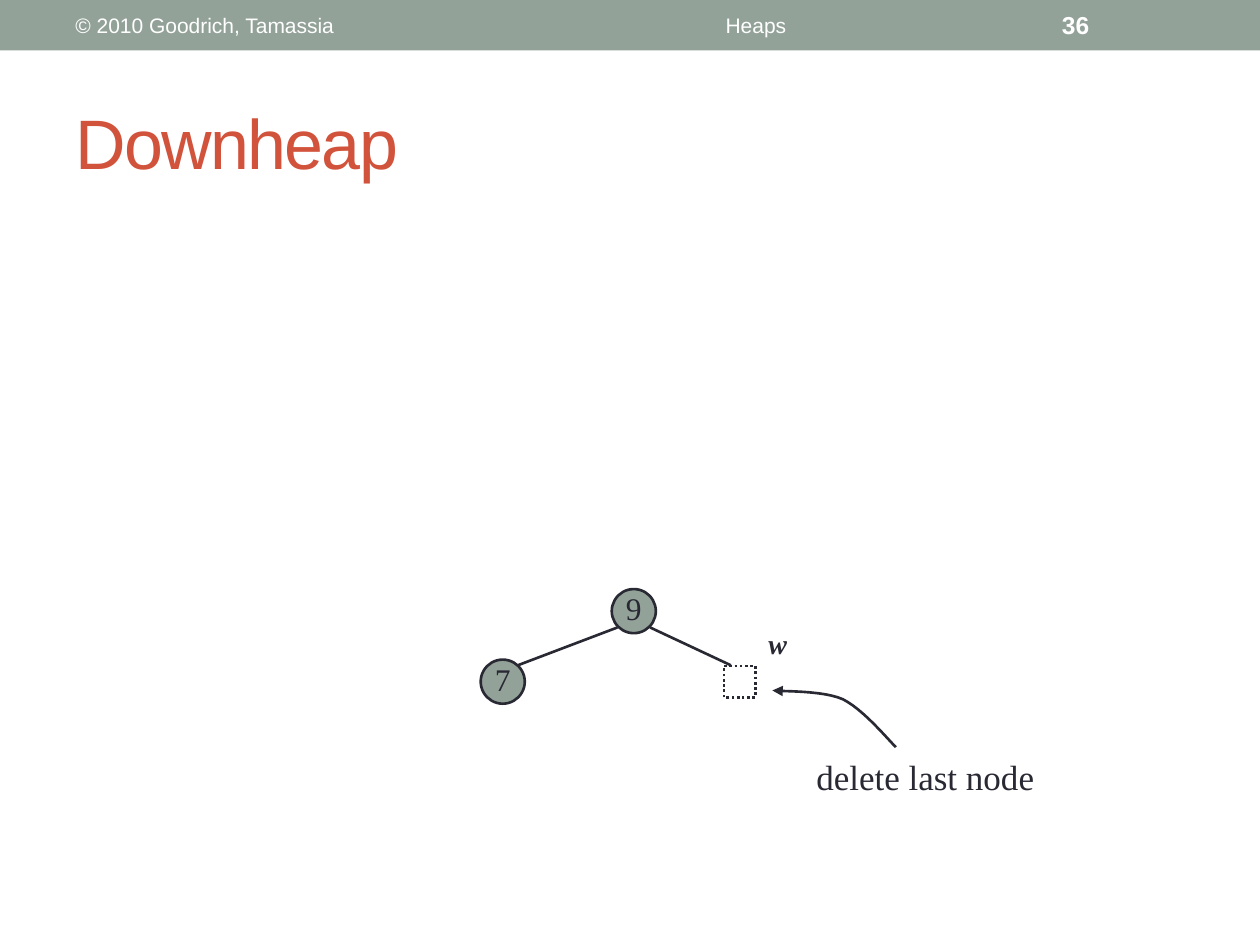
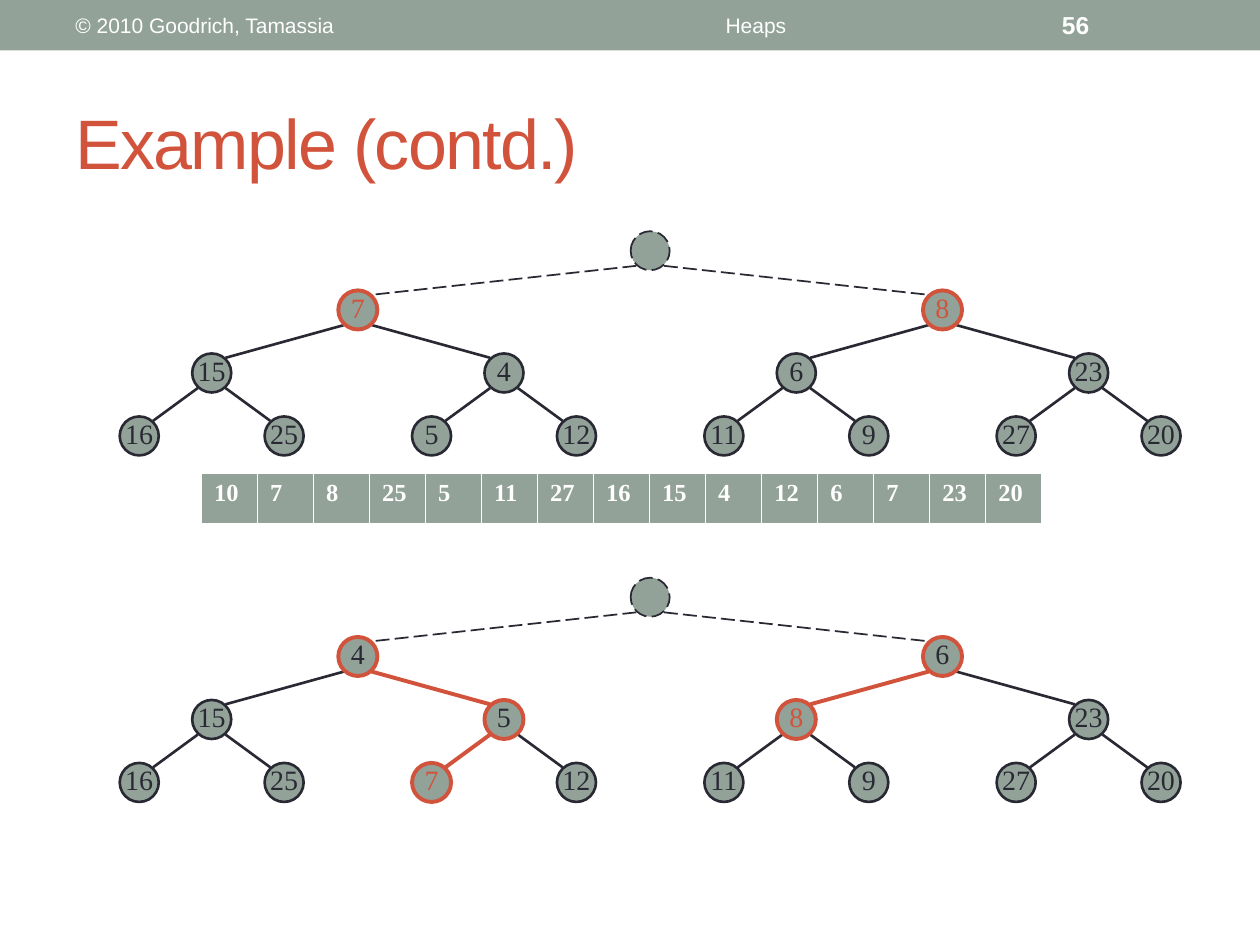
from lxml.etree import SubElement
from pptx import Presentation
from pptx.dml.color import RGBColor
from pptx.enum.dml import MSO_LINE
from pptx.enum.shapes import MSO_CONNECTOR, MSO_SHAPE
from pptx.enum.text import MSO_ANCHOR, MSO_AUTO_SIZE, PP_ALIGN
from pptx.oxml.ns import qn
from pptx.util import Inches, Pt

SAGE = RGBColor(0x93, 0xA2, 0x99)
INK = RGBColor(0x29, 0x29, 0x34)
RED = RGBColor(0xD2, 0x53, 0x3C)
WHITE = RGBColor(0xFF, 0xFF, 0xFF)
SANS, SERIF = "Arial", "Times New Roman"
BAND_H = 0.4

LEVEL_DY = [0, 0.47, 0.97, 1.47]        # node centres below the root centre
LEVEL_DX = [0, 2.32, 1.16, 0.575]       # node centres left or right of the parent
NODE_D = 0.31
EDGE_DX, EDGE_DY = 0.11, 0.12           # where edges meet a node, from its centre

LEAVES = [16, 25, 5, 12, 11, 9, 27, 20]
ARRAY = [10, 7, 8, 25, 5, 11, 27, 16, 15, 4, 12, 6, 7, 23, 20]


def set_font(p, name, size, color, bold=False, italic=False):
    f = p.font
    f.name, f.size, f.bold, f.italic = name, Pt(size), bold, italic
    f.color.rgb = color


def set_line(line, color=INK, width=1.5, dash=None):
    line.color.rgb = color
    line.width = Pt(width)
    if dash is not None:
        line.dash_style = dash


def add_text(slide, box, text, size, font=SANS, color=WHITE, bold=False, italic=False,
             align=PP_ALIGN.LEFT, anchor=MSO_ANCHOR.MIDDLE, wrap=True):
    tf = slide.shapes.add_textbox(*map(Inches, box)).text_frame
    tf.word_wrap, tf.vertical_anchor = wrap, anchor
    p = tf.paragraphs[0]
    p.text, p.alignment = text, align
    set_font(p, font, size, color, bold, italic)


def add_preset(slide, kind, box, fill):
    sp = slide.shapes.add_shape(kind, *map(Inches, box))
    sp.shadow.inherit = False
    sp.fill.solid()
    sp.fill.fore_color.rgb = fill
    return sp


def add_node(slide, cx, cy, d, key, size, color=INK, **line):
    """Draw a round tree node centred on (cx, cy); a key of None leaves it blank."""
    sp = add_preset(slide, MSO_SHAPE.OVAL, (cx - d / 2, cy - d / 2, d, d), SAGE)
    set_line(sp.line, **line)
    if key is None:
        return
    tf = sp.text_frame
    tf.margin_left = tf.margin_right = tf.margin_top = 0
    tf.margin_bottom = Inches(0.05)
    tf.word_wrap, tf.vertical_anchor = False, MSO_ANCHOR.MIDDLE
    p = tf.paragraphs[0]
    p.text, p.alignment = str(key), PP_ALIGN.CENTER
    set_font(p, SERIF, size, color)


def add_edge(slide, start, end, **line):
    c = slide.shapes.add_connector(MSO_CONNECTOR.STRAIGHT, *map(Inches, (*start, *end)))
    set_line(c.line, **line)
    SubElement(c.element.spPr, qn("a:effectLst"))


def prepare_layout(prs):
    """Give the title-only layout its band and title box."""
    layout = prs.slide_layouts[5]
    t = layout.placeholders[0]
    t.left, t.top, t.width, t.height = map(Inches, (0.5, 0.58, 9, 1.08))
    return layout


def add_slide(prs, layout, title, number):
    slide = prs.slides.add_slide(layout)
    band = add_preset(slide, MSO_SHAPE.RECTANGLE, (0, 0, 10, BAND_H), SAGE)
    band.line.fill.background()
    if len(prs.slides) == 1:
        layout.shapes.element.insert(2, band.element)
    else:
        slide.shapes.element.remove(band.element)

    tf = slide.shapes.title.text_frame
    tf.auto_size, tf.vertical_anchor = MSO_AUTO_SIZE.NONE, MSO_ANCHOR.MIDDLE
    p = tf.paragraphs[0]
    p.text, p.alignment = title, PP_ALIGN.LEFT
    set_font(p, SANS, 40, RED)
    p.runs[0].font._element.set("spc", "-100")

    y, h = 0.02, BAND_H - 0.04
    add_text(slide, (0.5, y, 3.17, h), "© 2010 Goodrich, Tamassia", 12)
    add_text(slide, (3.75, y, 4.5, h), "Heaps", 12, align=PP_ALIGN.CENTER)
    add_text(slide, (8.33, y, 1.17, h), str(number), 14, bold=True)
    return slide


def bezier(p0, p1, p2, p3, steps=12):
    """Return the points after p0 along a cubic curve."""
    ts = [i / steps for i in range(1, steps + 1)]
    return [tuple((1 - t) ** 3 * a + 3 * t * (1 - t) ** 2 * b + 3 * t * t * (1 - t) * c
                  + t ** 3 * d for a, b, c, d in zip(p0, p1, p2, p3)) for t in ts]


def add_curved_arrow(slide, x, y):
    """Draw the arrow that ends at (x, y)."""
    start, bend, end = (0.98, 0.45), (0.56, 0.07), (0, 0)
    pts = [start, *bezier(start, (0.91, 0.38), (0.72, 0.15), bend),
           *bezier(bend, (0.4, 0), (0.11, 0.01), end)]
    emu = [(Inches(x + dx), Inches(y + dy)) for dx, dy in pts]
    fb = slide.shapes.build_freeform(*emu[0], scale=1.0)
    fb.add_line_segments(emu[1:], close=False)
    sp = fb.convert_to_shape()
    sp.shadow.inherit = False
    sp.fill.background()
    set_line(sp.line)
    SubElement(sp.line._get_or_add_ln(), qn("a:tailEnd"), type="triangle")


def add_deletion_tree(slide, x, y):
    """Draw the small heap whose last node w is being removed."""
    d = 0.35
    root, left, last = (x + 1.22, y + 0.18), (x + 0.18, y + 0.74), (x + 2.06, y + 0.74)
    add_edge(slide, (root[0] - 0.13, root[1] + 0.13), (left[0] + 0.12, left[1] - 0.13))
    add_edge(slide, (root[0] + 0.13, root[1] + 0.13), (last[0] - 0.07, last[1] - 0.13))
    add_node(slide, *root, d, 9, 18)
    add_node(slide, *left, d, 7, 18)
    side = 0.25
    sp = add_preset(slide, MSO_SHAPE.RECTANGLE,
                    (last[0] - side / 2, last[1] - side / 2, side, side), WHITE)
    set_line(sp.line, dash=MSO_LINE.ROUND_DOT)
    add_curved_arrow(slide, x + 2.32, y + 0.81)
    label = dict(font=SERIF, color=INK, anchor=MSO_ANCHOR.TOP, wrap=False)
    add_text(slide, (x + 2.57, y + 1.28, 2.01, 0.44), "delete last node", 20, **label)
    add_text(slide, (x + 2.19, y + 0.25, 0.42, 0.5), "w", 16, bold=True, italic=True, **label)


def add_heap(slide, cx, cy, keys, path, moved):
    """Draw a heap with its root centred on (cx, cy).

    Nodes whose index is in path are outlined in red, as are the edges between
    them; those in moved have red keys.
    """
    centres = [(cx, cy)]
    for i in range(1, len(keys)):
        level = (i + 1).bit_length() - 1
        side = -1 if i % 2 else 1
        px, py = centres[(i - 1) // 2]
        x, y = px + side * LEVEL_DX[level], cy + LEVEL_DY[level]
        centres.append((x, y))
        if level == 1:
            line = dict(width=1, dash=MSO_LINE.LONG_DASH)
        elif i in path and (i - 1) // 2 in path:
            line = dict(color=RED, width=2.25)
        else:
            line = {}
        add_edge(slide, (px + side * EDGE_DX, py + EDGE_DY),
                 (x - side * EDGE_DX, y - EDGE_DY), **line)

    for i, (key, (x, y)) in enumerate(zip(keys, centres)):
        sp_line = dict(width=1, dash=MSO_LINE.LONG_DASH) if i == 0 else dict(width=1.5)
        text_color = RED if i in moved else INK
        if i in path:
            add_red_node(slide, x, y, key, text_color)
        else:
            add_node(slide, x, y, NODE_D, key, 16, text_color, **sp_line)


def add_red_node(slide, x, y, key, text_color):
    add_node(slide, x, y, NODE_D, key, 16, text_color)
    set_line(slide.shapes[-1].line, RED, 2.25)


def add_array(slide, x, y, w, h, values):
    tbl = slide.shapes.add_table(1, len(values), *map(Inches, (x, y, w, h))).table
    tbl.rows[0].height = Inches(h)
    for col, value in zip(tbl.columns, values):
        col.width = Inches(w / len(values))
    for cell, value in zip(tbl.rows[0].cells, values):
        p = cell.text_frame.paragraphs[0]
        p.text = str(value)
        set_font(p, SERIF, 14, WHITE, bold=True)
        tc_pr = cell._tc.get_or_add_tcPr()
        for side, width in (("L", 1), ("R", 1), ("T", 1), ("B", 3)):
            ln = SubElement(tc_pr, qn(f"a:ln{side}"), w=str(Pt(width)))
            SubElement(SubElement(ln, qn("a:solidFill")), qn("a:srgbClr"), val=str(WHITE))
        cell.fill.solid()
        cell.fill.fore_color.rgb = SAGE


def main():
    prs = Presentation()
    prs.slide_width, prs.slide_height = Inches(10), Inches(7.5)
    layout = prepare_layout(prs)

    slide = add_slide(prs, layout, "Downheap", 36)
    add_deletion_tree(slide, 3.81, 4.67)

    slide = add_slide(prs, layout, "Example (contd.)", 56)
    add_heap(slide, 5.16, 1.99, [None, 7, 8, 15, 4, 6, 23, *LEAVES],
             path={1, 2}, moved={1, 2})
    sifted = LEAVES.copy()
    sifted[2] = 7
    add_heap(slide, 5.16, 4.74, [None, 4, 6, 15, 5, 8, 23, *sifted],
             path={1, 2, 4, 5, 9}, moved={5, 9})
    add_array(slide, 1.6, 3.76, 6.67, 0.41, ARRAY)

    prs.save("out.pptx")


if __name__ == "__main__":
    main()
